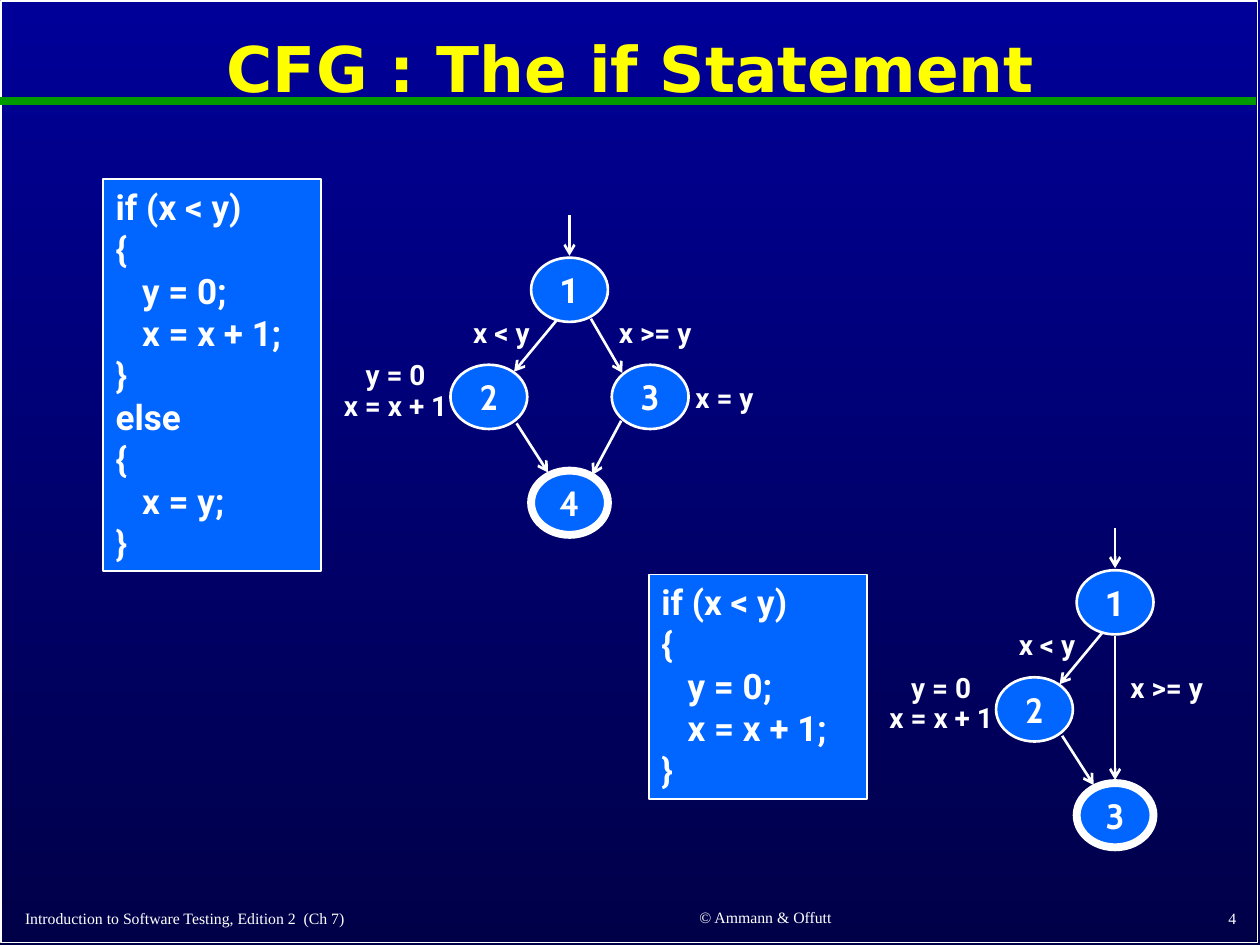
"""Build a slide showing control flow graphs for the if statement."""
from lxml.etree import SubElement
from pptx import Presentation
from pptx.dml.color import RGBColor
from pptx.enum.shapes import MSO_CONNECTOR, MSO_SHAPE
from pptx.enum.text import MSO_ANCHOR, PP_ALIGN
from pptx.oxml.ns import qn
from pptx.util import Inches, Pt

WHITE = RGBColor(0xFF, 0xFF, 0xFF)
YELLOW = RGBColor(0xFF, 0xFF, 0x00)
GREEN = RGBColor(0x00, 0x99, 0x00)
BLUE = RGBColor(0x00, 0x66, 0xFF)
NAVY_TOP = RGBColor(0x00, 0x00, 0x99)
NAVY_BOTTOM = RGBColor(0x00, 0x00, 0x48)

TITLE = "CFG : The if Statement"
FOOTERS = [
    ("Introduction to Software Testing, Edition 2  (Ch 7)", (0.1, 7.16, 4.11, 0.26), PP_ALIGN.LEFT),
    ("© Ammann & Offutt", (4.49, 7.15, 3.17, 0.26), PP_ALIGN.CENTER),
    ("4", (7.83, 7.15, 2.08, 0.27), PP_ALIGN.RIGHT),
]

IF_CODE = [("if (x < y)", 0), ("{", 0), ("y = 0;", 1), ("x = x + 1;", 1), ("}", 0)]
ELSE_CODE = [("else", 0), ("{", 0), ("x = y;", 1), ("}", 0)]
CODE_BOXES = [
    (IF_CODE + ELSE_CODE, (0.82, 1.42, 1.73, 3.11)),
    (IF_CODE, (5.15, 4.56, 1.73, 1.78)),
]
CODE_INDENT = 0.21

TOP, LEFT, RIGHT, BOTTOM = (0, 0), (-0.64, 0.85), (0.64, 0.85), (0, 1.69)
NODE_SIZE = (0.61, 0.51)
SHARED_EDGES = [
    ((0, -0.59), (0, -0.27)),
    ((-0.1, 0.24), (-0.44, 0.65)),
    ((-0.42, 1.06), (-0.17, 1.45)),
]
SHARED_LABELS = [("x < y", (-0.54, 0.34)), ("y = 0\nx = x + 1", (-1.38, 0.86))]
GRAPHS = [
    {
        "origin": (4.52, 2.3),
        "nodes": [("1", TOP), ("2", LEFT), ("3", RIGHT), ("4", BOTTOM)],
        "edges": [((0.17, 0.23), (0.42, 0.66)), ((0.41, 1.04), (0.18, 1.47))],
        "labels": [("x >= y", (0.68, 0.34)), ("x = y", (1.23, 0.86))],
    },
    {
        "origin": (8.85, 4.78),
        "nodes": [("1", TOP), ("2", LEFT), ("3", BOTTOM)],
        "edges": [((0, 0.27), (0, 1.41))],
        "labels": [("x >= y", (0.41, 0.68))],
    },
]


def write(shape, text, font, size, color=WHITE, bold=True, align=PP_ALIGN.LEFT, anchor=MSO_ANCHOR.TOP):
    frame = shape.text_frame
    frame.text = text
    frame.word_wrap = True
    frame.vertical_anchor = anchor
    for paragraph in frame.paragraphs:
        paragraph.alignment = align
        for run in paragraph.runs:
            run.font.name = font
            run.font.size = Pt(size)
            run.font.bold = bold
            run.font.color.rgb = color
    return frame


def add_text(slide, box, *args, **options):
    return write(slide.shapes.add_textbox(*map(Inches, box)), *args, **options)


def add_block(slide, kind, box, fill, line_width):
    shape = slide.shapes.add_shape(kind, *map(Inches, box))
    shape.shadow.inherit = False
    if fill is None:
        shape.fill.background()
    else:
        shape.fill.solid()
        shape.fill.fore_color.rgb = fill
    shape.line.color.rgb = WHITE
    shape.line.width = Pt(line_width)
    return shape


def add_line(slide, start, end, color, width, arrow=False):
    connector = slide.shapes.add_connector(MSO_CONNECTOR.STRAIGHT, *map(Inches, start + end))
    connector.line.color.rgb = color
    connector.line.width = Pt(width)
    if arrow:
        SubElement(connector.line._get_or_add_ln(), qn("a:tailEnd"), type="arrow")
    SubElement(connector._element.spPr, qn("a:effectLst"))


def add_code(slide, lines, box):
    shape = add_block(slide, MSO_SHAPE.RECTANGLE, box, BLUE, 1)
    frame = write(shape, "\n".join(text for text, level in lines), "Roboto", 20)
    for paragraph, (text, level) in zip(frame.paragraphs, lines):
        if level:
            paragraph._p.get_or_add_pPr().set("marL", str(Inches(level * CODE_INDENT)))


def shift(origin, offset):
    return origin[0] + offset[0], origin[1] + offset[1]


def centered(center, size):
    return center[0] - size[0] / 2, center[1] - size[1] / 2, *size


def add_graph(slide, origin, nodes, edges, labels):
    for name, offset in nodes:
        box = centered(shift(origin, offset), NODE_SIZE)
        node = add_block(slide, MSO_SHAPE.OVAL, box, BLUE, 4.5 if offset == BOTTOM else 1.5)
        frame = write(node, name, "Roboto" if name == "1" else "Cabin", 20,
                      align=PP_ALIGN.CENTER, anchor=MSO_ANCHOR.MIDDLE)
        frame.margin_left = frame.margin_right = frame.margin_top = frame.margin_bottom = 0
    for start, end in SHARED_EDGES + edges:
        add_line(slide, shift(origin, start), shift(origin, end), WHITE, 1.5, arrow=True)
    for text, offset in SHARED_LABELS + labels:
        stacked = "\n" in text
        size = (1.1, 0.51) if stacked else (0.96, 0.37)
        frame = add_text(slide, centered(shift(origin, offset), size), text, "Roboto", 16,
                         align=PP_ALIGN.CENTER)
        for paragraph in frame.paragraphs:
            paragraph.space_before = Pt(8)
            if stacked:
                paragraph.line_spacing = 0.5


def main():
    presentation = Presentation()
    presentation.slide_width, presentation.slide_height = Inches(10), Inches(7.5)
    slide = presentation.slides.add_slide(presentation.slide_layouts[6])

    background = slide.background.fill
    background.gradient()
    background.gradient_angle = 270
    for stop, color in zip(background.gradient_stops, (NAVY_TOP, NAVY_BOTTOM)):
        stop.color.rgb = color

    add_block(slide, MSO_SHAPE.RECTANGLE, (0.01, 0.01, 9.97, 7.47), None, 1)
    add_line(slide, (0, 0.8), (9.97, 0.8), GREEN, 4.5)
    for text, box, align in FOOTERS:
        add_text(slide, box, text, "Times New Roman", 9, bold=False, align=align, anchor=MSO_ANCHOR.MIDDLE)
    title = add_text(slide, (0.08, 0.11, 9.85, 0.92), TITLE, "DejaVu Sans", 36, YELLOW,
                     align=PP_ALIGN.CENTER, anchor=MSO_ANCHOR.MIDDLE)
    title.paragraphs[0].line_spacing = 0.9
    for lines, box in CODE_BOXES:
        add_code(slide, lines, box)
    for graph in GRAPHS:
        add_graph(slide, **graph)
    presentation.save("out.pptx")


if __name__ == "__main__":
    main()
